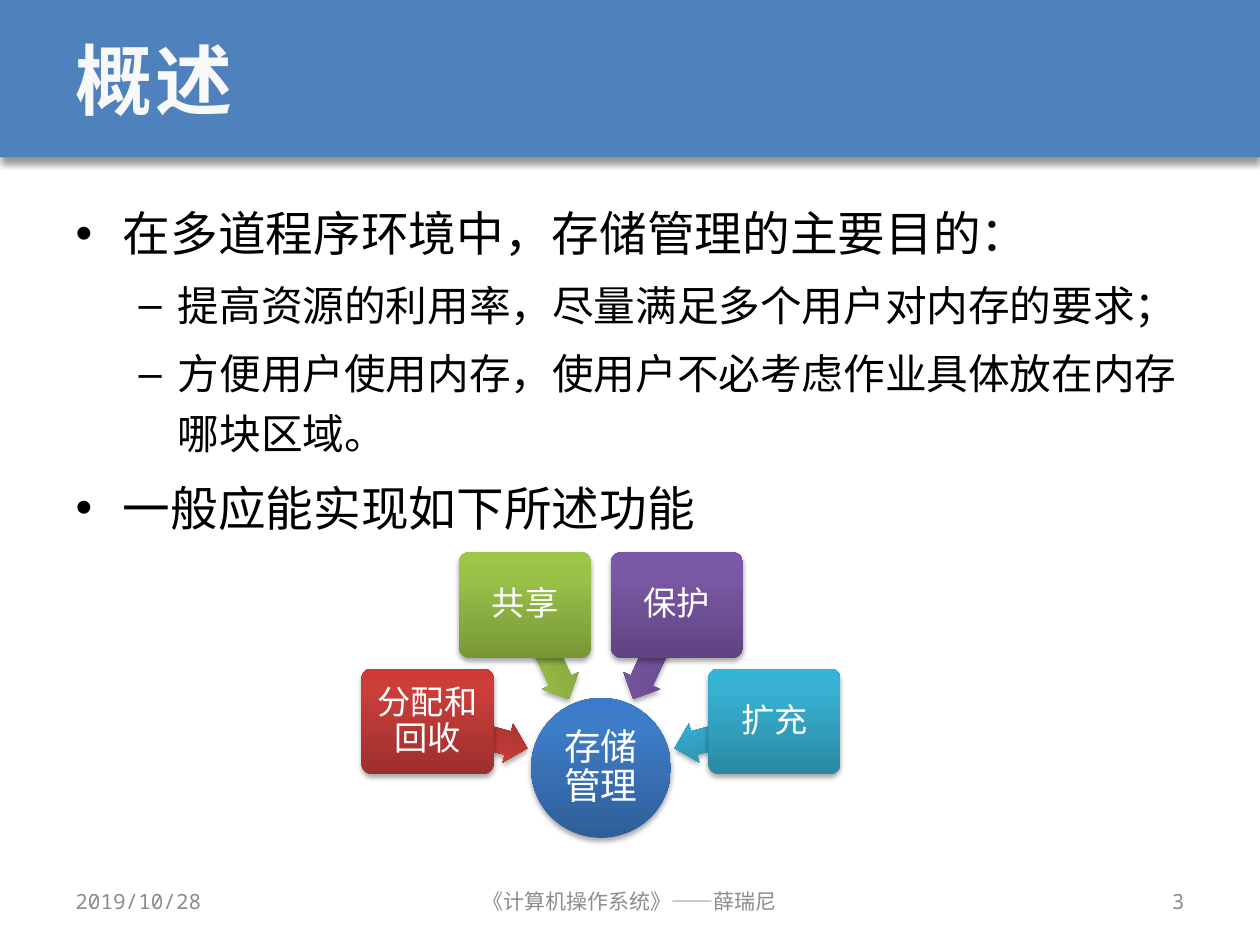
"""Build the overview slide on the aims and functions of storage management."""
from copy import deepcopy
from dataclasses import dataclass
from math import cos, radians, sin

from lxml import etree
from pptx import Presentation
from pptx.dml.color import RGBColor
from pptx.enum.shapes import MSO_SHAPE
from pptx.enum.text import MSO_ANCHOR, MSO_AUTO_SIZE, PP_ALIGN
from pptx.oxml.ns import qn
from pptx.util import Inches, Pt

LEFT, CENTER, RIGHT = PP_ALIGN.LEFT, PP_ALIGN.CENTER, PP_ALIGN.RIGHT
TOP, MIDDLE = MSO_ANCHOR.TOP, MSO_ANCHOR.MIDDLE
NO_AUTOFIT = MSO_AUTO_SIZE.NONE
RECTANGLE, CIRCLE = MSO_SHAPE.RECTANGLE, MSO_SHAPE.OVAL
ROUNDED, ARROW = MSO_SHAPE.ROUNDED_RECTANGLE, MSO_SHAPE.LEFT_ARROW

BLACK = RGBColor(0, 0, 0)
WHITE = RGBColor(255, 255, 255)
TITLE_WHITE = RGBColor(0xF8, 0xF8, 0xF8)
FOOTER_GRAY = RGBColor(0x8C, 0x8C, 0x8C)
BAND_BLUE = RGBColor(0x4F, 0x81, 0xBD)
BLUES = RGBColor(0x2F, 0x5F, 0x99), RGBColor(0x3D, 0x7C, 0xC7), RGBColor(0x3A, 0x7C, 0xCB)
REDS = RGBColor(0x9C, 0x2F, 0x2D), RGBColor(0xCB, 0x3E, 0x3A), RGBColor(0xCE, 0x3B, 0x37)
GREENS = RGBColor(0x77, 0x97, 0x37), RGBColor(0x9B, 0xC3, 0x48), RGBColor(0x9D, 0xC7, 0x46)
PURPLES = RGBColor(0x5F, 0x44, 0x80), RGBColor(0x7B, 0x58, 0xA6), RGBColor(0x7C, 0x57, 0xA8)
TEALS = RGBColor(0x2A, 0x88, 0xA2), RGBColor(0x37, 0xB1, 0xD2), RGBColor(0x34, 0xB4, 0xD6)

TEXT_FONT, DIAGRAM_FONT = "Noto Sans Mono", "Arial"
SLIDE_WIDTH, SLIDE_HEIGHT = Inches(10), Inches(7.5)
COLUMNS, ROWS = 100, 75
HUB_X, HUB_Y, HUB_SIZE = 47.7, 60.95, 11.1
ARROW_RADIUS, BOX_RADIUS = 10.15, 14.25


@dataclass(frozen=True)
class Area:
    """A rectangle in grid columns and rows."""
    column: float
    row: float
    columns: float
    rows: float

    def place(self) -> tuple[int, int, int, int]:
        """Return left, top, width and height on the slide."""
        across, down = SLIDE_WIDTH / COLUMNS, SLIDE_HEIGHT / ROWS
        return (round(self.column * across), round(self.row * down),
                round(self.columns * across), round(self.rows * down))


@dataclass(frozen=True)
class Function:
    """A function of storage management, at an angle around the hub."""
    label: str
    angle: int
    colors: tuple[RGBColor, RGBColor, RGBColor]


@dataclass(frozen=True)
class Point:
    """A line of the outline."""
    wording: str
    level: int


@dataclass(frozen=True)
class Footer:
    """A text at the foot of the slide."""
    wording: str
    area: Area
    align: PP_ALIGN


HEADER = Area(5, 0, 90, 12.5)
BAND = Area(0, 0, COLUMNS, 12.5)
OUTLINE = Area(5, 14.8, 90, 29)
POINT_SIZES = 27.2, 23.8
POINTS = (
    Point("在多道程序环境中，存储管理的主要目的：", 0),
    Point("提高资源的利用率，尽量满足多个用户对内存的要求；", 1),
    Point("方便用户使用内存，使用户不必考虑作业具体放在内存哪块区域。", 1),
    Point("一般应能实现如下所述功能", 0),
)
FUNCTIONS = (
    Function("分配和回收", 195, REDS),
    Function("共享", 245, GREENS),
    Function("保护", 295, PURPLES),
    Function("扩充", 345, TEALS),
)
FOOTERS = (
    Footer("2019/10/28", Area(5, 69.5, 23.3, 4), LEFT),
    Footer("《计算机操作系统》——薛瑞尼", Area(34.15, 69.5, 31.7, 4), CENTER),
    Footer("3", Area(71.7, 69.5, 23.3, 4), RIGHT),
)


def write(paragraph, wording: str, *, size: float, color: RGBColor, font=TEXT_FONT,
          bold=False, align=LEFT, spacing=1.0, before=0.0, tracking=0) -> None:
    """Fill a paragraph with one formatted run."""
    paragraph.alignment = align
    paragraph.line_spacing = spacing
    paragraph.space_before = Pt(before)
    run = paragraph.add_run()
    run.text = wording
    run.font.name, run.font.size, run.font.bold = font, Pt(size), bold
    run.font.color.rgb = color
    if tracking:
        run.font._element.set("spc", str(tracking))


def set_frame(frame, anchor: MSO_ANCHOR, inset: float | None = None) -> None:
    """Wrap a text frame, anchor it and set its insets in inches."""
    frame.word_wrap = True
    frame.auto_size = NO_AUTOFIT
    frame.vertical_anchor = anchor
    if inset is not None:
        frame.margin_left = frame.margin_right = Inches(inset)
        frame.margin_top = frame.margin_bottom = Inches(inset)


def move(placeholder, area: Area) -> None:
    """Put a placeholder on an area."""
    placeholder.left, placeholder.top, placeholder.width, placeholder.height = area.place()


def cast_shadow(shape, opacity: int, blur: float, distance: float) -> None:
    """Give a shape a black shadow falling downwards."""
    shape.shadow.inherit = False
    effects = shape._element.spPr.find(qn("a:effectLst"))
    shadow = etree.SubElement(effects, qn("a:outerShdw"), blurRad=str(Pt(blur)),
                              dist=str(Pt(distance)), dir="5400000", rotWithShape="0")
    black = etree.SubElement(shadow, qn("a:srgbClr"), val="000000")
    etree.SubElement(black, qn("a:alpha"), val=str(opacity * 1000))


def add_node(shapes, kind: MSO_SHAPE, center: tuple[float, float], size: tuple[float, float],
             colors: tuple[RGBColor, RGBColor, RGBColor]):
    """Add a shaded diagram part around a centre on the grid."""
    area = Area(center[0] - size[0] / 2, center[1] - size[1] / 2, *size)
    node = shapes.add_shape(kind, *area.place())
    node.line.fill.background()
    node.fill.gradient()
    node.fill.gradient_angle = 90
    stops = node._element.spPr.find(".//" + qn("a:gsLst"))
    stops.append(deepcopy(stops[-1]))
    for stop, position, color in zip(node.fill.gradient_stops, (0, 0.8, 1), colors):
        stop.position, stop.color.rgb = position, color
    cast_shadow(node, 35, 3.1, 1.8)
    return node


def label_node(node, wording: str, size: float, inset: float) -> None:
    """Write a centred white label in a diagram part."""
    set_frame(node.text_frame, MIDDLE, inset)
    write(node.text_frame.paragraphs[0], wording, size=size, color=WHITE,
          font=DIAGRAM_FONT, align=CENTER, spacing=0.9)


def around_hub(angle: int, radius: float) -> tuple[float, float]:
    """Return the grid point at an angle and distance from the hub."""
    return HUB_X + radius * cos(radians(angle)), HUB_Y + radius * sin(radians(angle))


def add_diagram(slide) -> None:
    """Draw the hub with its functions around it."""
    parts = slide.shapes.add_group_shape().shapes
    hub = add_node(parts, CIRCLE, (HUB_X, HUB_Y), (HUB_SIZE, HUB_SIZE), BLUES)
    label_node(hub, "存储管理", 21, 0.01)
    for function in FUNCTIONS:
        arrow = add_node(parts, ARROW, around_hub(function.angle, ARROW_RADIUS),
                         (8.2, 3.2), function.colors)
        arrow.rotation = function.angle
        arrow.adjustments[0], arrow.adjustments[1] = 0.6, 0.5
        box = add_node(parts, ROUNDED, around_hub(function.angle, BOX_RADIUS),
                       (10.5, 8.4), function.colors)
        box.adjustments[0] = 0.1
        label_node(box, function.label, 19, 0.04)


def add_header(slide) -> None:
    """Draw the band and set the title on it."""
    band = slide.shapes.add_shape(RECTANGLE, *BAND.place())
    band.fill.solid()
    band.fill.fore_color.rgb = BAND_BLUE
    band.line.fill.background()
    cast_shadow(band, 40, 4, 3)
    band._element.getparent().insert(2, band._element)
    title = slide.shapes.title
    move(title, HEADER)
    set_frame(title.text_frame, MIDDLE)
    write(title.text_frame.paragraphs[0], "概述", size=44, color=TITLE_WHITE,
          bold=True, tracking=150)


def add_outline(slide) -> None:
    """Set the list in the body placeholder."""
    body = slide.placeholders[1]
    move(body, OUTLINE)
    frame = body.text_frame
    set_frame(frame, TOP)
    for index, point in enumerate(POINTS):
        paragraph = frame.add_paragraph() if index else frame.paragraphs[0]
        paragraph.level = point.level
        size = POINT_SIZES[point.level]
        write(paragraph, point.wording, size=size, color=BLACK, spacing=1.2, before=size * 0.2)


def add_footers(slide) -> None:
    """Write the date, the course and the slide number."""
    for footer in FOOTERS:
        frame = slide.shapes.add_textbox(*footer.area.place()).text_frame
        set_frame(frame, MIDDLE)
        write(frame.paragraphs[0], footer.wording, size=12, color=FOOTER_GRAY, align=footer.align)


def main() -> None:
    """Build and save the slide."""
    deck = Presentation()
    deck.slide_width, deck.slide_height = SLIDE_WIDTH, SLIDE_HEIGHT
    slide = deck.slides.add_slide(deck.slide_layouts[1])
    add_header(slide)
    add_outline(slide)
    add_footers(slide)
    add_diagram(slide)
    deck.save("out.pptx")


if __name__ == "__main__":
    main()
